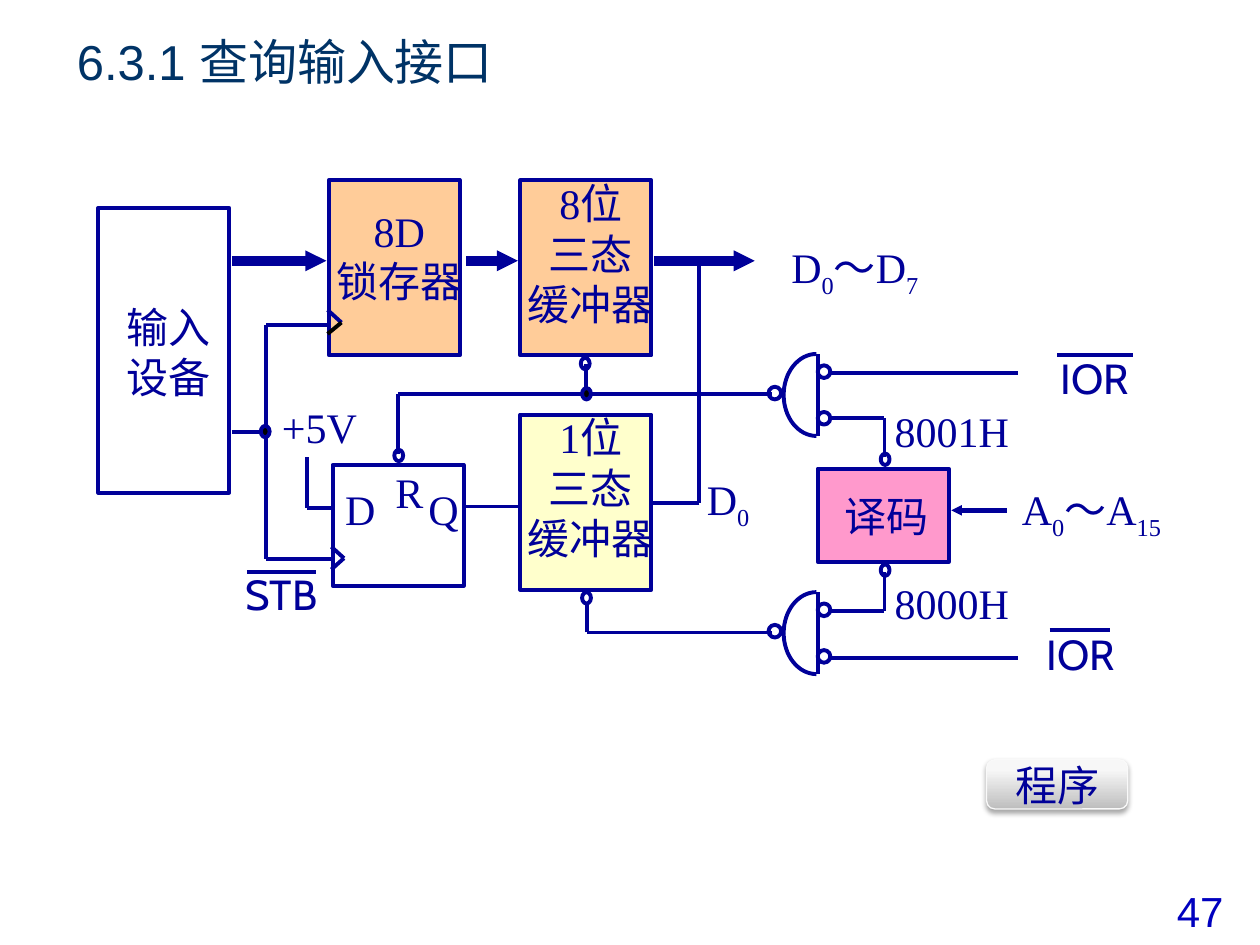
from itertools import pairwise
from math import cos, pi, sin

from lxml.etree import SubElement
from pptx import Presentation
from pptx.dml.color import RGBColor
from pptx.enum.shapes import MSO_CONNECTOR, MSO_SHAPE
from pptx.enum.text import MSO_ANCHOR, PP_ALIGN
from pptx.oxml.ns import qn
from pptx.util import Inches, Pt

NAVY, BLACK, ORANGE, YELLOW, PINK = "000099", "000000", "FFCC99", "FFFFCC", "FF99CC"
SERIF, SANS, SIGNAL = "Times New Roman", "Arial", "Cabin"
LEFT, CENTER, RIGHT = PP_ALIGN.LEFT, PP_ALIGN.CENTER, PP_ALIGN.RIGHT

BLOCKS = [
    (0.78, 1.65, 1.04, 2.26, None),
    (2.61, 1.43, 1.04, 1.39, ORANGE),
    (4.13, 1.43, 1.04, 1.39, ORANGE),
    (4.13, 3.29, 1.04, 1.39, YELLOW),
    (6.49, 3.72, 1.04, 0.74, PINK),
    (2.64, 3.69, 1.04, 0.96, None),
]
LABELS = [
    (0.71, 2.38, 1.25, 1.16, CENTER, ["输入", "设备"]),
    (2.54, 1.62, 1.26, 0.96, CENTER, ["8D", "锁存器"]),
    (4.06, 1.4, 1.26, 1.39, CENTER, ["8位", "三态", "缓冲器"]),
    (4.06, 3.26, 1.26, 1.39, CENTER, ["1位", "三态", "缓冲器"]),
    (6.41, 3.88, 1.25, 0.51, CENTER, ["译码"]),
    (2.15, 3.18, 0.77, 0.51, CENTER, ["+5V"]),
    (2.73, 3.83, 0.51, 0.43, LEFT, ["D"]),
    (3.07, 3.69, 0.36, 0.42, CENTER, ["R"]),
    (3.14, 3.83, 0.51, 0.43, RIGHT, ["Q"]),
    (7.09, 3.21, 1.11, 0.43, LEFT, ["8001H"]),
    (7.09, 4.57, 1.11, 0.42, LEFT, ["8000H"]),
]
BUS_LABELS = [
    (6.27, 1.91, 1.11, 0.73, ["D", "0", "～D", "7"]),
    (5.6, 3.75, 0.51, 0.59, ["D", "0"]),
    (8.1, 3.83, 1.28, 0.7, ["A", "0", "～A", "15"]),
]
ACTIVE_LOW = [
    ("IOR", 8.32, 2.75, 8.39, 8.99, 2.82),
    ("IOR", 8.21, 4.94, 8.33, 8.81, 5.0),
    ("STB", 1.85, 4.46, 1.96, 2.51, 4.54),
]
WIRES = [
    [(1.84, 3.43), (2.11, 3.43)],
    [(2.63, 2.58), (2.11, 2.58), (2.11, 4.44), (2.63, 4.44)],
    [(2.44, 3.63), (2.44, 4.03), (2.63, 4.03)],
    [(2.63, 4.52), (2.73, 4.43), (2.63, 4.34)],
    [(2.71, 2.56), (2.6, 2.46)],
    [(3.67, 4.02), (4.13, 4.02)],
    [(5.55, 2.09), (5.55, 3.99), (5.16, 3.99)],
    [(6.13, 3.13), (3.16, 3.13), (3.16, 3.6)],
    [(4.65, 3.15), (4.65, 2.89)],
    [(6.13, 5.02), (4.66, 5.02), (4.66, 4.78)],
    [(6.59, 2.96), (8.08, 2.96)],
    [(6.59, 3.32), (7.02, 3.32), (7.02, 3.63)],
    [(6.59, 4.85), (7.02, 4.85), (7.02, 4.54)],
    [(6.59, 5.22), (8.08, 5.22)],
]
ARROWS = [
    ((1.84, 2.07), (2.59, 2.07), 6),
    ((3.7, 2.07), (4.11, 2.07), 6),
    ((5.19, 2.07), (5.99, 2.07), 6),
    ((7.99, 4.05), (7.55, 4.05), 3),
]
PIN_BUBBLES = [(4.61, 2.84), (4.62, 4.7), (3.13, 3.57), (6.99, 3.6), (6.99, 4.48)]
JUNCTIONS = [(4.62, 3.08), (2.07, 3.38)]
GATE_TOPS = [2.81, 4.7]
GATE_BUBBLES = [(6.1, 0.26), (6.49, 0.09), (6.49, 0.46)]
GATE_EDGE, GATE_DEPTH, GATE_RADIUS = 6.48, 0.26, 0.325


def paint(color_format, color):
    color_format.rgb = RGBColor.from_string(color)


def style(span, font=SERIF, color=NAVY, size=24):
    span.font.name, span.font.size = font, Pt(size)
    paint(span.font.color, color)


def outline(shape, fill=None):
    shape.shadow.inherit = False
    if fill:
        shape.fill.solid()
        paint(shape.fill.fore_color, fill)
    else:
        shape.fill.background()
    paint(shape.line.color, NAVY)
    shape.line.width = Pt(2.25)


def add_outlined(page, kind, left, top, width, height, fill=None):
    shape = page.shapes.add_shape(kind, *map(Inches, (left, top, width, height)))
    outline(shape, fill)


def add_label(page, left, top, width, height, align, lines, font=SERIF, color=NAVY, inset=0.01, wrap=True):
    box = page.shapes.add_textbox(*map(Inches, (left, top, width, height)))
    frame = box.text_frame
    frame.word_wrap = wrap
    frame.margin_left = frame.margin_right = Inches(inset)
    frame.margin_top = frame.margin_bottom = Inches(min(inset, 0.05))
    frame.text = "\n".join(lines)
    for para in frame.paragraphs:
        para.alignment = align
        for span in para.runs:
            style(span, font, color)
    return frame


def add_bus_label(page, left, top, width, height, parts):
    para = add_label(page, left, top, width, height, LEFT, parts[:1]).paragraphs[0]
    for index, part in enumerate(parts[1:], 1):
        span = para.add_run()
        span.text = part
        style(span)
        if index % 2:
            span._r.get_or_add_rPr().set("baseline", "-25000")


def add_line(page, start, end, width=2.25, color=NAVY, arrow=False):
    line = page.shapes.add_connector(MSO_CONNECTOR.STRAIGHT, *map(Inches, (*start, *end)))
    paint(line.line.color, color)
    line.line.width = Pt(width)
    if arrow:
        SubElement(line.line._get_or_add_ln(), qn("a:tailEnd"), type="triangle", w="sm", len="sm")
    SubElement(line._element.spPr, qn("a:effectLst"))


def add_gate(page, top):
    middle = top + GATE_RADIUS
    angles = [step * pi / 32 for step in range(17)]
    for side in (1, -1):
        points = [(Inches(GATE_EDGE - GATE_DEPTH * sin(angle)),
                   Inches(middle + side * GATE_RADIUS * cos(angle))) for angle in angles]
        builder = page.shapes.build_freeform(*points[0])
        builder.add_line_segments(points[1:], close=False)
        outline(builder.convert_to_shape())
    add_line(page, (6.49, top), (6.49, top + 2 * GATE_RADIUS))
    for left, drop in GATE_BUBBLES:
        add_outlined(page, MSO_SHAPE.OVAL, left, top + drop, 0.1, 0.1)


def add_button(page):
    button = page.shapes.add_shape(MSO_SHAPE.ROUNDED_RECTANGLE, *map(Inches, (7.83, 6.03, 1.12, 0.39)))
    button.fill.gradient()
    button.fill.gradient_angle = 90
    for stop, (position, color) in zip(button.fill.gradient_stops, [(0, "BEBEBE"), (0.8, "F7F7F7")]):
        stop.position = position
        paint(stop.color, color)
    paint(button.line.color, "F9F9F9")
    button.line.width = Pt(0.75)
    button.shadow.inherit = False
    effects = button._element.spPr.find(qn("a:effectLst"))
    shadow = SubElement(effects, qn("a:outerShdw"), blurRad=str(Pt(3.1)), dist=str(Pt(1.8)),
                        dir="5400000", rotWithShape="0")
    tint = SubElement(shadow, qn("a:srgbClr"), val=BLACK)
    SubElement(tint, qn("a:alpha"), val="35000")
    frame = button.text_frame
    frame.word_wrap = False
    frame.vertical_anchor = MSO_ANCHOR.MIDDLE
    frame.text = "程序"
    frame.paragraphs[0].alignment = CENTER
    style(frame.paragraphs[0].runs[0], SANS)


def main():
    """Build the slide on the polled input interface."""
    deck = Presentation()
    deck.slide_width, deck.slide_height = Inches(10), Inches(7.5)
    page = deck.slides.add_slide(deck.slide_layouts[5])
    title = page.shapes.title
    title.left, title.top, title.width, title.height = map(Inches, (0.51, 0.21, 8.43, 0.55))
    title.text_frame.text = "6.3.1 查询输入接口"
    title.text_frame.vertical_anchor = MSO_ANCHOR.MIDDLE
    title.text_frame.paragraphs[0].alignment = LEFT
    style(title.text_frame.paragraphs[0].runs[0], SANS, "003366", 28)

    for block in BLOCKS:
        add_outlined(page, MSO_SHAPE.RECTANGLE, *block)
    for label in LABELS:
        add_label(page, *label)
    for label in BUS_LABELS:
        add_bus_label(page, *label)
    for name, left, top, bar_start, bar_end, bar_top in ACTIVE_LOW:
        add_label(page, left, top, 0.78, 0.51, LEFT, [name], SIGNAL, inset=0.1, wrap=False)
        add_line(page, (bar_start, bar_top), (bar_end, bar_top))
    for wire in WIRES:
        for start, end in pairwise(wire):
            add_line(page, start, end)
    add_line(page, (2.6, 2.65), (2.71, 2.56), color=BLACK)
    for start, end, width in ARROWS:
        add_line(page, start, end, width, arrow=True)
    for top in GATE_TOPS:
        add_gate(page, top)
    for fill, spots in ((None, PIN_BUBBLES), (BLACK, JUNCTIONS)):
        for left, top in spots:
            add_outlined(page, MSO_SHAPE.OVAL, left, top, 0.07, 0.09, fill)
    add_button(page)
    add_label(page, 9.17, 6.98, 0.71, 0.5, CENTER, ["47"], SANS, "0000BF", 0.1)
    deck.save("out.pptx")


if __name__ == "__main__":
    main()
